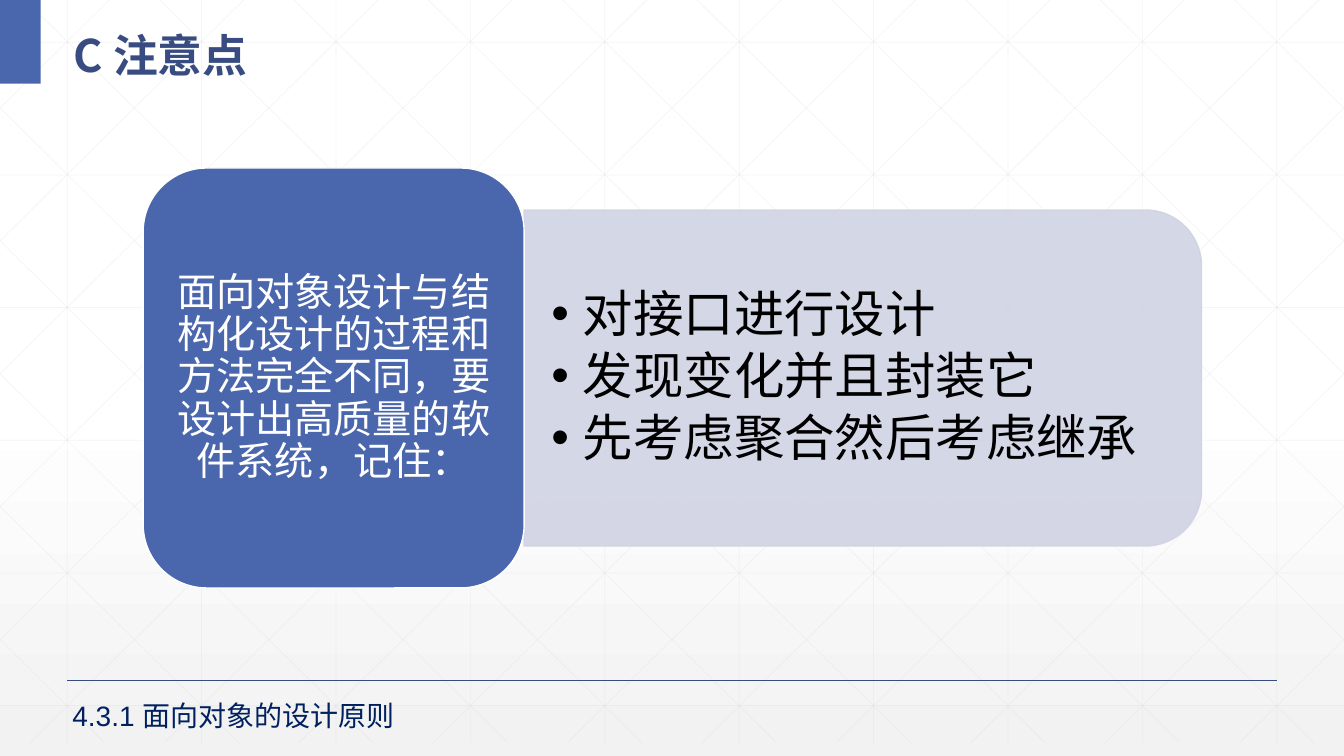
from dataclasses import dataclass

from lxml import etree
from pptx import Presentation
from pptx.dml.color import RGBColor
from pptx.enum.shapes import MSO_CONNECTOR, MSO_SHAPE
from pptx.enum.text import MSO_ANCHOR, PP_ALIGN
from pptx.oxml.ns import qn
from pptx.util import Pt

STRAIGHT = MSO_CONNECTOR.STRAIGHT
RECTANGLE = MSO_SHAPE.RECTANGLE
ROUNDED = MSO_SHAPE.ROUNDED_RECTANGLE
ROUNDED_TOP = MSO_SHAPE.ROUND_2_SAME_RECTANGLE
MIDDLE = MSO_ANCHOR.MIDDLE
LEFT, CENTER = PP_ALIGN.LEFT, PP_ALIGN.CENTER


@dataclass(frozen=True)
class Theme:
    """Colours, fonts and type sizes of the slide."""
    accent: RGBColor = RGBColor(0x4A, 0x66, 0xAC)
    accent_dark: RGBColor = RGBColor(0x38, 0x4C, 0x81)
    panel: RGBColor = RGBColor(0xD0, 0xD3, 0xE3)
    navy: RGBColor = RGBColor(0x00, 0x20, 0x60)
    grid: RGBColor = RGBColor(0xD9, 0xD9, 0xD9)
    shade: RGBColor = RGBColor(0xF2, 0xF2, 0xF2)
    white: RGBColor = RGBColor(0xFF, 0xFF, 0xFF)
    black: RGBColor = RGBColor(0x00, 0x00, 0x00)
    heading_font: str = "Noto Sans CJK SC"
    body_font: str = "Arial"
    title_size: int = 32
    advice_size: int = 36
    premise_size: int = 28
    section_size: int = 20


THEME = Theme()
WIDTH, HEIGHT = 960, 540


def set_opacity(shape, percent):
    """Apply an opacity to every colour of a shape."""
    for colour in shape._element.spPr.iter(qn("a:srgbClr")):
        etree.SubElement(colour, qn("a:alpha"), val=str(percent * 1000))


def add_line(slide, start, end, colour, weight):
    """Draw a straight line without a shadow."""
    line = slide.shapes.add_connector(STRAIGHT, *map(Pt, (*start, *end)))
    line.line.color.rgb = colour
    line.line.width = Pt(weight)
    etree.SubElement(line._element.spPr, qn("a:effectLst"))
    return line


def add_block(slide, preset, box, fill, outline=None):
    """Draw a filled preset shape in the given box."""
    block = slide.shapes.add_shape(preset, *map(Pt, box))
    block.shadow.inherit = False
    block.fill.solid()
    block.fill.fore_color.rgb = fill
    if outline is None:
        block.line.fill.background()
    else:
        block.line.color.rgb = outline
        block.line.width = Pt(1)
    return block


def set_frame(shape, margin_x=7.2, margin_y=3.6):
    """Prepare a wrapped, vertically centred text frame."""
    frame = shape.text_frame
    frame.word_wrap = True
    frame.vertical_anchor = MIDDLE
    frame.margin_left = frame.margin_right = Pt(margin_x)
    frame.margin_top = frame.margin_bottom = Pt(margin_y)
    return frame


def set_font(paragraph, size, colour, name=THEME.body_font, bold=False):
    """Set the typeface of a whole paragraph."""
    font = paragraph.font
    font.size, font.name, font.bold = Pt(size), name, bold
    font.color.rgb = colour


def draw_background(slide, box):
    """Fill the slide with a gradient and lay a faint lattice over the box."""
    fill = slide.background.fill
    fill.gradient()
    fill.gradient_angle = 270
    for stop, position, colour in zip(
            fill.gradient_stops, (0.53, 1), (THEME.white, THEME.shade)):
        stop.position = position
        stop.color.rgb = colour

    left, top, width, height = box
    column, row, run = 96, 94.75, 536.7
    slope = height / run
    segments = [((x, 0), (x, height)) for x in range(48, width, column)]
    segments += [((0, 30.24 + row * j), (width, 30.24 + row * j)) for j in range(6)]
    for k in range(-5, 10):
        origin = 18 + column * k
        x1, x2 = max(0, origin), min(width, origin + run)
        y1, y2 = (x1 - origin) * slope, (x2 - origin) * slope
        segments.append(((x1, y1), (x2, y2)))
        segments.append(((width - x1, y1), (width - x2, y2)))
    for (x1, y1), (x2, y2) in segments:
        line = add_line(slide, (left + x1, top + y1), (left + x2, top + y2),
                        THEME.grid, 0.5)
        set_opacity(line, 25)


def draw_header(slide, box, title):
    """Place the corner block and the slide title."""
    left, top, width, height = box
    add_block(slide, RECTANGLE, (left, top, 29, height), THEME.accent)
    heading = slide.shapes.add_textbox(
        Pt(left + 45.36), Pt(top + 7.2), Pt(width - 65.76), Pt(height - 7.2))
    paragraph = set_frame(heading).paragraphs[0]
    paragraph.text = title
    paragraph.line_spacing = 1.3
    set_font(paragraph, THEME.title_size, THEME.accent_dark,
             THEME.heading_font, bold=True)


def draw_advice(slide, box, premise, points):
    """Place the premise block with its list panel on the right."""
    left, top, width, height = box
    premise_width = 272.16
    panel_left = left + premise_width
    panel_width, panel_height = width - premise_width, height * 0.8
    middle_x, middle_y = panel_left + panel_width / 2, top + height / 2

    panel = add_block(
        slide, ROUNDED_TOP,
        (middle_x - panel_height / 2, middle_y - panel_width / 2,
         panel_height, panel_width), THEME.panel, THEME.panel)
    panel.rotation = 90
    set_opacity(panel, 90)

    advice = slide.shapes.add_textbox(
        Pt(panel_left), Pt(middle_y - 108.36), Pt(panel_width - 11.7), Pt(216.72))
    frame = set_frame(advice, 19.44, 10.08)
    for index, point in enumerate(points):
        paragraph = frame.add_paragraph() if index else frame.paragraphs[0]
        paragraph.text = point
        paragraph.alignment = LEFT
        paragraph.line_spacing = 0.9
        paragraph.space_after = Pt(5.4)
        properties = paragraph._p.get_or_add_pPr()
        properties.set("marL", str(Pt(22.5)))
        properties.set("indent", str(-Pt(22.5)))
        etree.SubElement(properties, qn("a:buFont"), typeface=THEME.body_font)
        etree.SubElement(properties, qn("a:buChar"), char="•")
        set_font(paragraph, THEME.advice_size, THEME.black)

    block = add_block(slide, ROUNDED, (left, top, premise_width, height),
                      THEME.accent, THEME.white)
    paragraph = set_frame(block, 8.4, 4.2).paragraphs[0]
    paragraph.text = premise
    paragraph.alignment = CENTER
    paragraph.line_spacing = 0.9
    set_font(paragraph, THEME.premise_size, THEME.white)


def draw_footer(slide, box, section):
    """Place the rule and the section name below it."""
    left, top, width, height = box
    add_line(slide, (left, top), (left + width, top), THEME.accent_dark, 1)
    label = slide.shapes.add_textbox(
        Pt(left - 3.36), Pt(top + 9.36), Pt(width / 2), Pt(height - 9.36))
    paragraph = set_frame(label).paragraphs[0]
    paragraph.text = section
    set_font(paragraph, THEME.section_size, THEME.navy)


def main():
    """Build the slide and save it."""
    deck = Presentation()
    deck.slide_width, deck.slide_height = Pt(WIDTH), Pt(HEIGHT)
    slide = deck.slides.add_slide(deck.slide_layouts[6])
    draw_background(slide, (0, 0, WIDTH, 530.64))
    draw_header(slide, (0, 0, WIDTH, 59.76), "C 注意点")
    draw_advice(
        slide, (102.24, 120, 756, 300),
        "面向对象设计与结构化设计的过程和方法完全不同，要设计出高质量的软件系统，记住：",
        ("对接口进行设计", "发现变化并且封装它", "先考虑聚合然后考虑继承"))
    draw_footer(slide, (48, 486, 864, 41), "4.3.1 面向对象的设计原则")
    deck.save("out.pptx")


if __name__ == "__main__":
    main()
